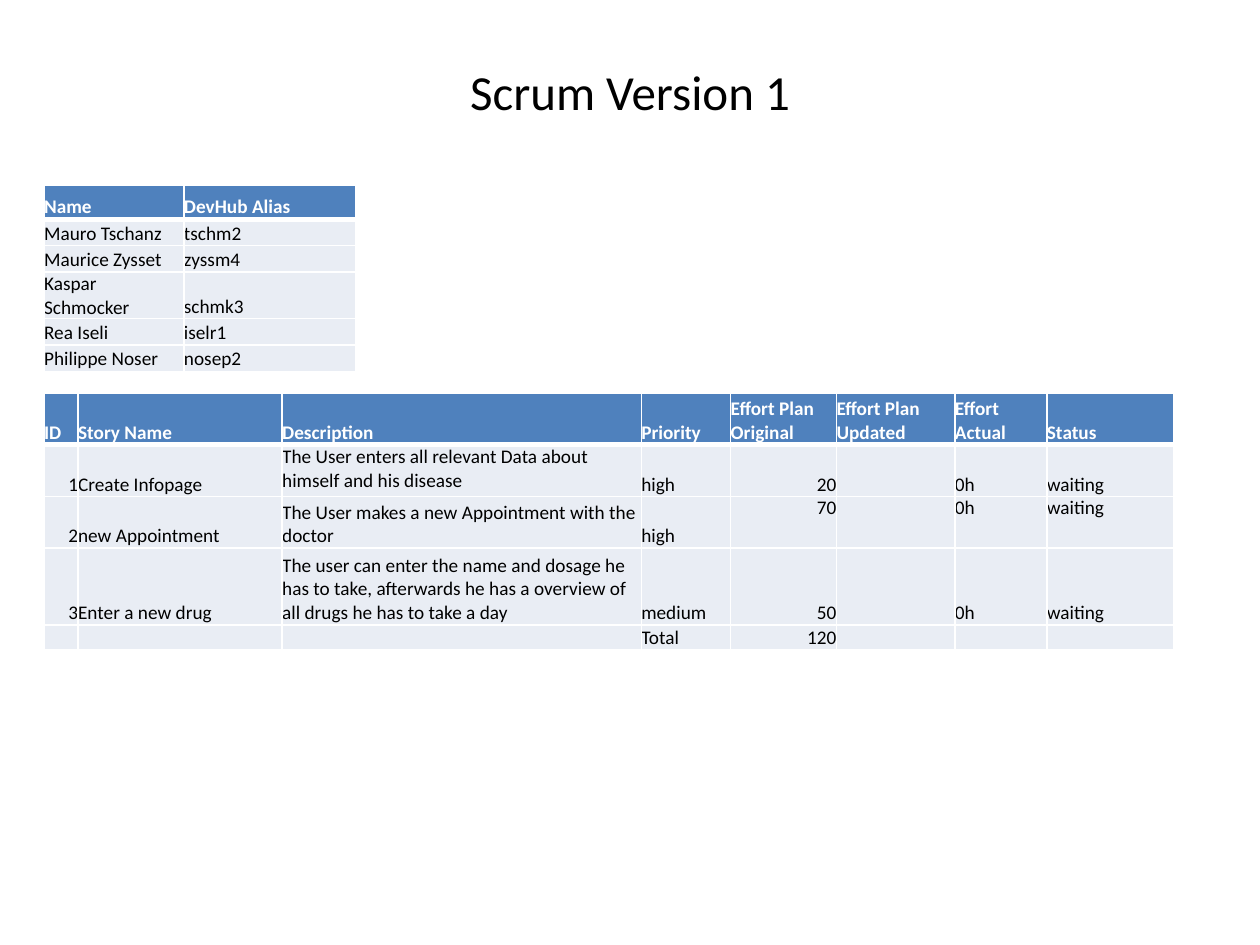
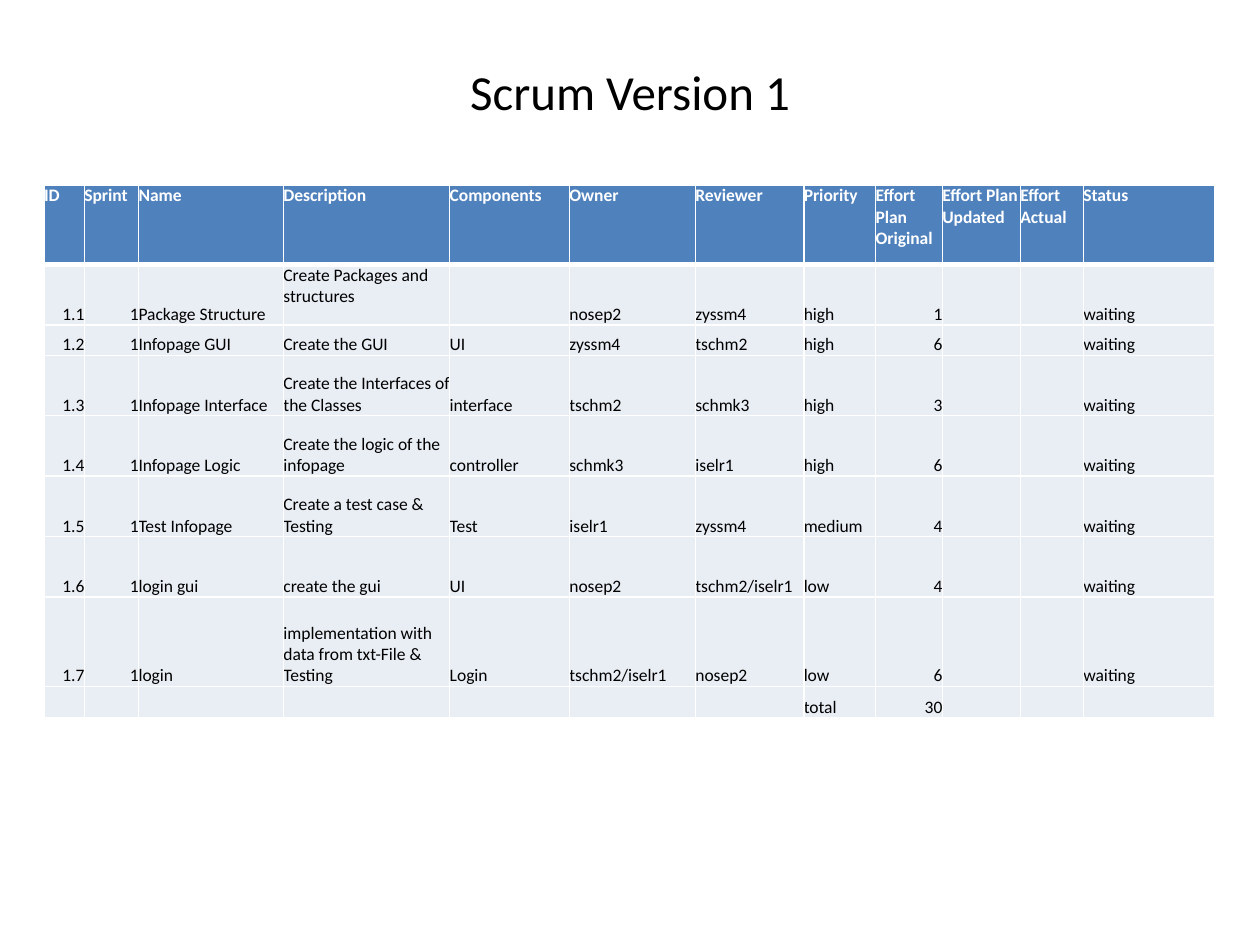
import pptx
import pptx.dml.color
import pptx.enum.text
import pptx.oxml.ns
import pptx.util
from lxml import etree

Inches = pptx.util.Inches
Pt = pptx.util.Pt
qn = pptx.oxml.ns.qn
ANCHOR = pptx.enum.text.MSO_ANCHOR
ALIGN = pptx.enum.text.PP_ALIGN

FONT = "Calibri"
BLACK, WHITE = "000000", "FFFFFF"
HEADER_FILL, BODY_FILL = "4F81BD", "E9EDF4"
TABLE_LEFT, TABLE_TOP = 0.35, 1.47


def color(hex_string):
    return pptx.dml.color.RGBColor.from_string(hex_string)


def add_table(slide, top, widths, heights, size, rows, top_cells):
    """Draw a grid with a header row; top_cells lists the (row, column) pairs anchored at the top."""
    table = slide.shapes.add_table(
        len(rows), len(widths), Inches(TABLE_LEFT), Inches(top),
        Inches(sum(widths)), Inches(sum(heights))).table
    table.horz_banding = False
    for column, width in zip(table.columns, widths):
        column.width = Inches(width)
    for row, height in zip(table.rows, heights):
        row.height = Inches(height)

    for row_index, texts in enumerate(rows):
        header = row_index == 0
        for column_index, text in enumerate(texts):
            cell = table.cell(row_index, column_index)
            at_top = (row_index, column_index) in top_cells
            cell_format = {
                "margin_left": 0, "margin_right": 0, "margin_top": 0, "margin_bottom": 0,
                "vertical_anchor": ANCHOR.TOP if at_top else ANCHOR.BOTTOM,
            }
            for name, value in cell_format.items():
                setattr(cell, name, value)

            # Borders come before the fill in the cell properties
            thick_side = {0: "B", 1: "T"}.get(row_index)
            properties = cell._tc.get_or_add_tcPr()
            for side in "LRTB":
                width = Pt(3 if side == thick_side else 1)
                line = etree.SubElement(properties, qn(f"a:ln{side}"), w=str(width))
                line_fill = etree.SubElement(line, qn("a:solidFill"))
                etree.SubElement(line_fill, qn("a:srgbClr"), val=WHITE)
            cell.fill.solid()
            cell.fill.fore_color.rgb = color(HEADER_FILL if header else BODY_FILL)

            paragraph = cell.text_frame.paragraphs[0]
            if not text:
                # An empty cell still needs the small size, or it stretches its row
                etree.SubElement(paragraph._p, qn("a:endParaRPr"), sz=str(size * 100))
                continue
            is_number = text.replace(".", "").isdigit()
            paragraph.alignment = ALIGN.RIGHT if is_number else ALIGN.LEFT
            run = paragraph.add_run()
            run.text = text
            for name, value in {"name": FONT, "size": Pt(size), "bold": header}.items():
                setattr(run.font, name, value)
            run.font.color.rgb = color(WHITE if header else BLACK)


presentation = pptx.Presentation()
presentation.slide_width = Inches(10)
presentation.slide_height = Inches(7.5)

# Both slides carry the same title
slides = []
for _ in range(2):
    slide = presentation.slides.add_slide(presentation.slide_layouts[6])
    title = slide.shapes.add_textbox(Inches(0.5), Inches(0.3), Inches(9), Inches(0.85))
    title.text_frame.word_wrap = True
    title.text_frame.vertical_anchor = ANCHOR.MIDDLE
    paragraph = title.text_frame.paragraphs[0]
    paragraph.alignment = ALIGN.CENTER
    run = paragraph.add_run()
    run.text = "Scrum Version 1"
    for name, value in {"name": FONT, "size": Pt(28)}.items():
        setattr(run.font, name, value)
    run.font.color.rgb = color(BLACK)
    slides.append(slide)
backlog_slide, sprint_slide = slides

# Slide 1: team and product backlog
team = [
    ("Name", "DevHub Alias"),
    ("Mauro Tschanz", "tschm2"),
    ("Maurice Zysset", "zyssm4"),
    ("Kaspar Schmocker", "schmk3"),
    ("Rea Iseli", "iselr1"),
    ("Philippe Noser", "nosep2"),
]
add_table(backlog_slide, TABLE_TOP, [1.11, 1.36], [0.27] + [0.21] * 5, 11, team, [])

stories = [
    ("ID", "Story Name", "Description", "Priority", "Effort Plan Original",
     "Effort Plan Updated", "Effort Actual", "Status"),
    ("1", "Create Infopage", "The User enters all relevant Data about himself and his disease",
     "high", "20", "", "0h", "waiting"),
    ("2", "new Appointment", "The User makes a new Appointment with the doctor",
     "high", "70", "", "0h", "waiting"),
    ("3", "Enter a new drug",
     "The user can enter the name and dosage he has to take, "
     "afterwards he has a overview of all drugs he has to take a day",
     "medium", "50", "", "0h", "waiting"),
    ("", "", "", "Total", "120", "", "", ""),
]
add_table(backlog_slide, 3.12, [0.27, 1.62, 2.85, 0.71, 0.84, 0.94, 0.73, 1.01],
          [0.41, 0.41, 0.41, 0.61, 0.2], 11, stories, [(1, 2), (2, 4), (2, 6), (2, 7)])

# Slide 2: sprint backlog
sprint_header = ("ID", "Sprint", "Name", "Description", "Components", "Owner", "Reviewer",
                 "Priority", "Effort Plan Original", "Effort Plan Updated",
                 "Effort Actual", "Status")
# Name, description, component, owner, reviewer, priority, planned effort
tasks = [
    ("Package Structure", "Create Packages and structures", "", "nosep2", "zyssm4", "high", 1),
    ("Infopage GUI", "Create the GUI", "UI", "zyssm4", "tschm2", "high", 6),
    ("Infopage Interface", "Create the Interfaces of the Classes", "interface",
     "tschm2", "schmk3", "high", 3),
    ("Infopage Logic", "Create the logic of the infopage", "controller",
     "schmk3", "iselr1", "high", 6),
    ("Test Infopage", "Create a test case & Testing", "Test", "iselr1", "zyssm4", "medium", 4),
    ("login gui", "create the gui", "UI", "nosep2", "tschm2/iselr1", "low", 4),
    ("login", "implementation with data from txt-File & Testing", "Login",
     "tschm2/iselr1", "nosep2", "low", 6),
]
sprint_rows = [sprint_header]
for number, (*details, effort) in enumerate(tasks, start=1):
    sprint_rows.append((f"1.{number}", "1", *details, str(effort), "", "", "waiting"))
total_effort = sum(task[-1] for task in tasks)
sprint_rows.append(("",) * 7 + ("total", str(total_effort)) + ("",) * 3)

header_cells = [(0, column) for column in range(len(sprint_header))]
add_table(sprint_slide, TABLE_TOP,
          [0.32, 0.43, 1.15, 1.32, 0.95, 1, 0.86, 0.57, 0.53, 0.62, 0.5, 1.04],
          [0.63, 0.48, 0.24] + [0.48] * 4 + [0.71, 0.25],
          10, sprint_rows, header_cells + [(1, 3)])

presentation.save("out.pptx")
